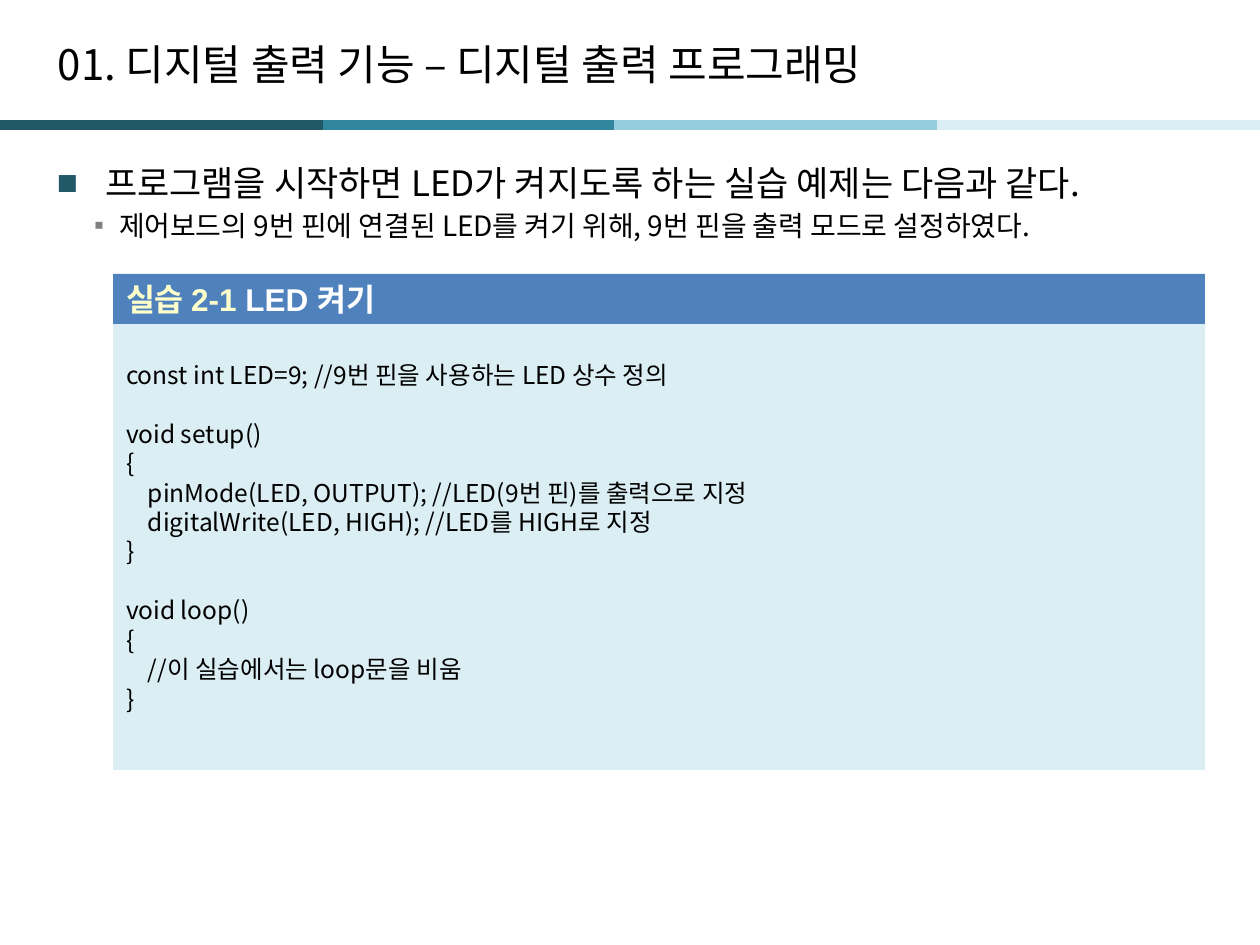
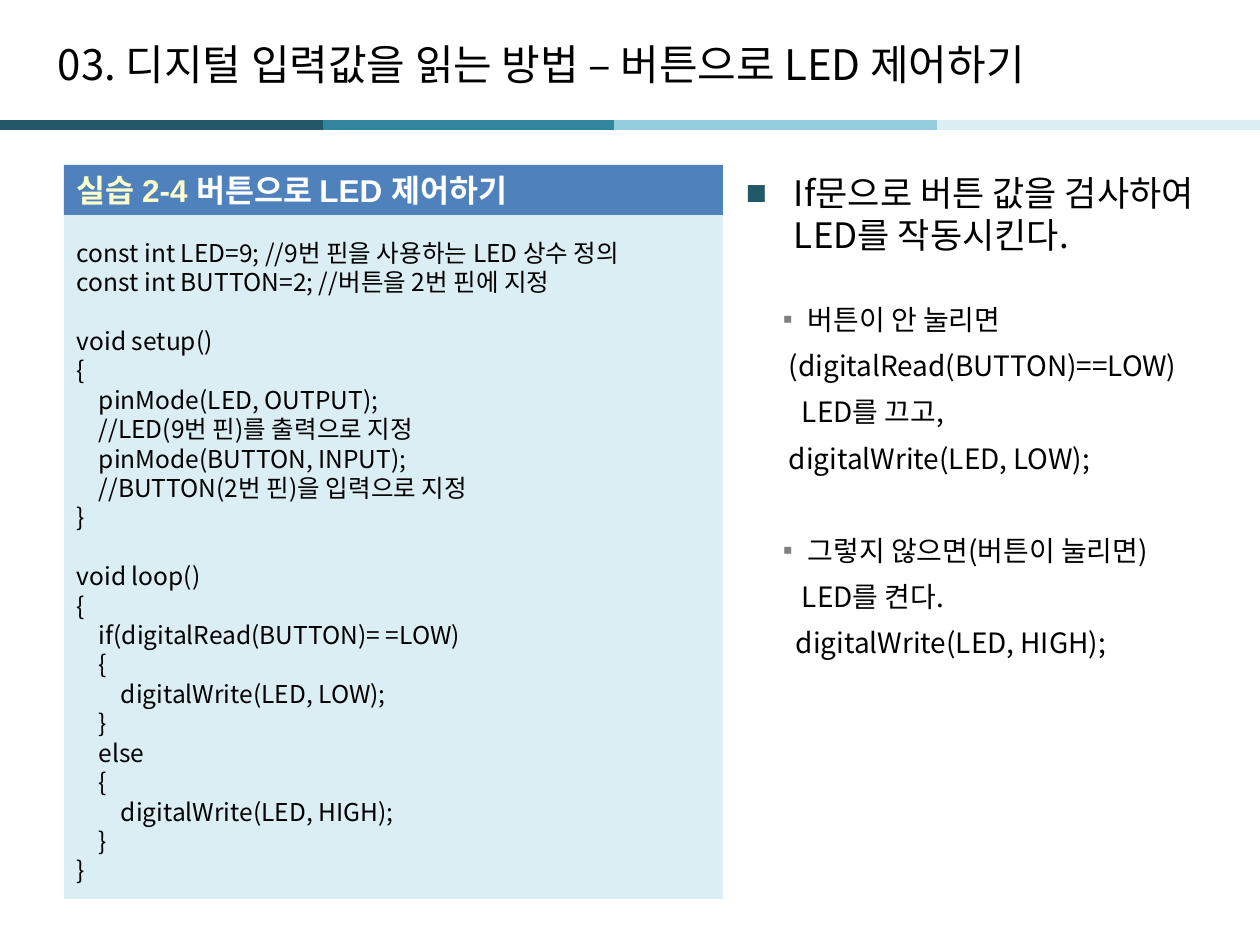
from dataclasses import dataclass

from lxml import etree
from pptx import Presentation
from pptx.dml.color import RGBColor
from pptx.enum.shapes import MSO_CONNECTOR, MSO_SHAPE
from pptx.enum.text import MSO_ANCHOR, MSO_AUTO_SIZE, PP_ALIGN
from pptx.oxml.ns import qn
from pptx.util import Emu, Pt

RECT = MSO_SHAPE.RECTANGLE
STRAIGHT = MSO_CONNECTOR.STRAIGHT
MIDDLE, TOP = MSO_ANCHOR.MIDDLE, MSO_ANCHOR.TOP
LEFT = PP_ALIGN.LEFT
NO_FIT = MSO_AUTO_SIZE.NONE

PX_PER_INCH = 126
SLIDE_W, SLIDE_H = 1260, 945
INSET_X, INSET_Y = 13, 6


@dataclass(frozen=True)
class Theme:
    text_font: str = "Noto Sans CJK KR"
    header_font: str = "Arial"
    title_size: int = 24
    point_size: int = 20
    header_size: int = 18
    detail_size: int = 16
    code_size: int = 14
    line_ratio: float = 1.2
    ink: str = "000000"
    white: str = "FFFFFF"
    number: str = "FFFFCC"
    header_fill: str = "4F81BD"
    code_fill: str = "DBEEF4"
    point_bullet: str = "215968"
    detail_bullet: str = "808080"
    band_first: str = "215968"
    band_rest: tuple = ("31859C", "93CDDD", "DBEEF4")


THEME = Theme()


def px(length):
    return Emu(round(length * 914400 / PX_PER_INCH))


def rgb(color):
    return RGBColor.from_string(color)


def line_height(size):
    return size * THEME.line_ratio


def place(shape, box):
    shape.left, shape.top, shape.width, shape.height = map(px, box)


def style_frame(frame, anchor):
    frame.word_wrap = True
    frame.auto_size = NO_FIT
    frame.vertical_anchor = anchor
    frame.margin_left = frame.margin_right = px(INSET_X)
    frame.margin_top = frame.margin_bottom = px(INSET_Y)


def style_paragraph(paragraph, size, font=THEME.text_font, bold=False,
                    before=0, after=0):
    paragraph.alignment = LEFT
    paragraph.line_spacing = Pt(line_height(size))
    paragraph.space_before = Pt(before)
    paragraph.space_after = Pt(after)
    paragraph.font.size = Pt(size)
    paragraph.font.bold = bold
    paragraph.font.color.rgb = rgb(THEME.ink)
    paragraph.font.name = font
    # Hangul always uses the text font
    defaults = paragraph._p.pPr.find(qn("a:defRPr"))
    etree.SubElement(defaults, qn("a:ea"), typeface=THEME.text_font)


def set_bullet(paragraph, margin, indent, char=None, color=None):
    properties = paragraph._p.get_or_add_pPr()
    properties.set("marL", str(px(margin)))
    properties.set("indent", str(px(indent)))
    if char is None:
        etree.SubElement(properties, qn("a:buNone"))
        return
    bullet_color = etree.SubElement(properties, qn("a:buClr"))
    etree.SubElement(bullet_color, qn("a:srgbClr"), val=color)
    etree.SubElement(properties, qn("a:buFont"), typeface=THEME.header_font)
    etree.SubElement(properties, qn("a:buChar"), char=char)


def add_paragraph(frame, index):
    return frame.paragraphs[0] if index == 0 else frame.add_paragraph()


def add_band(slide, y=125, length=323):
    """Four-colour rule under the title, the first segment on top."""
    count = len(THEME.band_rest)
    segments = [(SLIDE_W - length * (count - i), color)
                for i, color in enumerate(THEME.band_rest)]
    for x, color in segments + [(0, THEME.band_first)]:
        segment = slide.shapes.add_connector(
            STRAIGHT, px(x), px(y), px(x + length), px(y))
        segment.line.color.rgb = rgb(color)
        segment.line.width = Pt(6)
        etree.SubElement(segment._element.spPr, qn("a:effectLst"))


def add_topic_slide(deck, title):
    slide = deck.slides.add_slide(deck.slide_layouts[1])
    add_band(slide)
    heading = slide.shapes.title
    place(heading, (45, 26, 1121, 76))
    style_frame(heading.text_frame, MIDDLE)
    heading.text_frame.text = title
    style_paragraph(heading.text_frame.paragraphs[0], THEME.title_size)
    return slide


def fill_points(slide, box, points):
    """Body list of (kind, text, extra space before in points).

    A kind is "point", "detail", or the left margin in px of a plain line.
    """
    body = slide.placeholders[1]
    place(body, box)
    frame = body.text_frame
    style_frame(frame, TOP)
    for index, (kind, text, gap) in enumerate(points):
        paragraph = add_paragraph(frame, index)
        paragraph.text = text
        if kind == "point":
            set_bullet(paragraph, 48, -48, "■", THEME.point_bullet)
            style_paragraph(paragraph, THEME.point_size, before=gap)
            continue
        paragraph.level = 1
        if kind == "detail":
            set_bullet(paragraph, 62, -25, "▪", THEME.detail_bullet)
        else:
            set_bullet(paragraph, kind, 0)
        style_paragraph(paragraph, THEME.detail_size,
                        before=3.2 + gap, after=4)


def add_block(slide, box, color):
    block = slide.shapes.add_shape(RECT, *map(px, box))
    block.shadow.inherit = False
    block.fill.solid()
    block.fill.fore_color.rgb = rgb(color)
    block.line.fill.background()
    style_frame(block.text_frame, MIDDLE)
    return block.text_frame


def add_exercise(slide, box, number, name, code):
    """Code listing whose header overlaps its upper edge."""
    left, top, width, height = box
    overlap, header_height = 29, 50

    # Listing: an empty line becomes space before the next one
    listing = add_block(
        slide, (left, top + overlap, width, height - overlap), THEME.code_fill)
    blank = line_height(THEME.code_size)
    lines = code.split("\n")
    if not lines[0]:
        listing.margin_top = px(INSET_Y) + Pt(blank)
        lines = lines[1:]
    gap = index = 0
    for line in lines:
        if not line:
            gap += blank
            continue
        paragraph = add_paragraph(listing, index)
        paragraph.text = line
        style_paragraph(paragraph, THEME.code_size, before=gap)
        gap, index = 0, index + 1

    # Header
    header = add_block(
        slide, (left, top, width, header_height), THEME.header_fill)
    paragraph = header.paragraphs[0]
    style_paragraph(paragraph, THEME.header_size, THEME.header_font, bold=True)
    for text, color in ((f"실습 {number} ", THEME.number), (name, THEME.white)):
        run = paragraph.add_run()
        run.text = text
        run.font.color.rgb = rgb(color)


LED_ON_CODE = """const int LED=9; //9번 핀을 사용하는 LED 상수 정의

void setup()
{
    pinMode(LED, OUTPUT); //LED(9번 핀)를 출력으로 지정
    digitalWrite(LED, HIGH); //LED를 HIGH로 지정
}

void loop()
{
    //이 실습에서는 loop문을 비움
}"""

BUTTON_CODE = """
const int LED=9; //9번 핀을 사용하는 LED 상수 정의
const int BUTTON=2; //버튼을 2번 핀에 지정

void setup()
{
    pinMode(LED, OUTPUT);
    //LED(9번 핀)를 출력으로 지정
    pinMode(BUTTON, INPUT);
    //BUTTON(2번 핀)을 입력으로 지정
}

void loop()
{
    if(digitalRead(BUTTON)= =LOW)
    {
        digitalWrite(LED, LOW);
    }
    else
    {
        digitalWrite(LED, HIGH);
    }
}"""


def build_output_slide(deck):
    slide = add_topic_slide(deck, "01. 디지털 출력 기능 – 디지털 출력 프로그래밍")
    fill_points(slide, (44, 155, 1171, 743), [
        ("point", "프로그램을 시작하면 LED가 켜지도록 하는 실습 예제는 다음과 같다.", 0),
        ("detail", "제어보드의 9번 핀에 연결된 LED를 켜기 위해, "
                   "9번 핀을 출력 모드로 설정하였다.", 0),
    ])
    add_exercise(slide, (113, 274, 1092, 496), "2-1", "LED 켜기", LED_ON_CODE)


def build_button_slide(deck):
    slide = add_topic_slide(
        deck, "03. 디지털 입력값을 읽는 방법 – 버튼으로 LED 제어하기")
    fill_points(slide, (733, 165, 476, 745), [
        ("point", "If문으로 버튼 값을 검사하여 LED를 작동시킨다.", 0),
        ("detail", "버튼이 안 눌리면", 24),
        (43, "(digitalRead(BUTTON)==LOW)", 0),
        (56, "LED를 끄고,", 0),
        (43, "digitalWrite(LED, LOW);", 0),
        ("detail", "그렇지 않으면(버튼이 눌리면)", 26.4),
        (56, "LED를 켠다.", 0),
        (50, "digitalWrite(LED, HIGH);", 0),
    ])
    add_exercise(slide, (64, 165, 659, 734), "2-4", "버튼으로 LED 제어하기",
                 BUTTON_CODE)


def main():
    deck = Presentation()
    deck.slide_width, deck.slide_height = px(SLIDE_W), px(SLIDE_H)
    build_output_slide(deck)
    build_button_slide(deck)
    deck.save("out.pptx")


if __name__ == "__main__":
    main()
